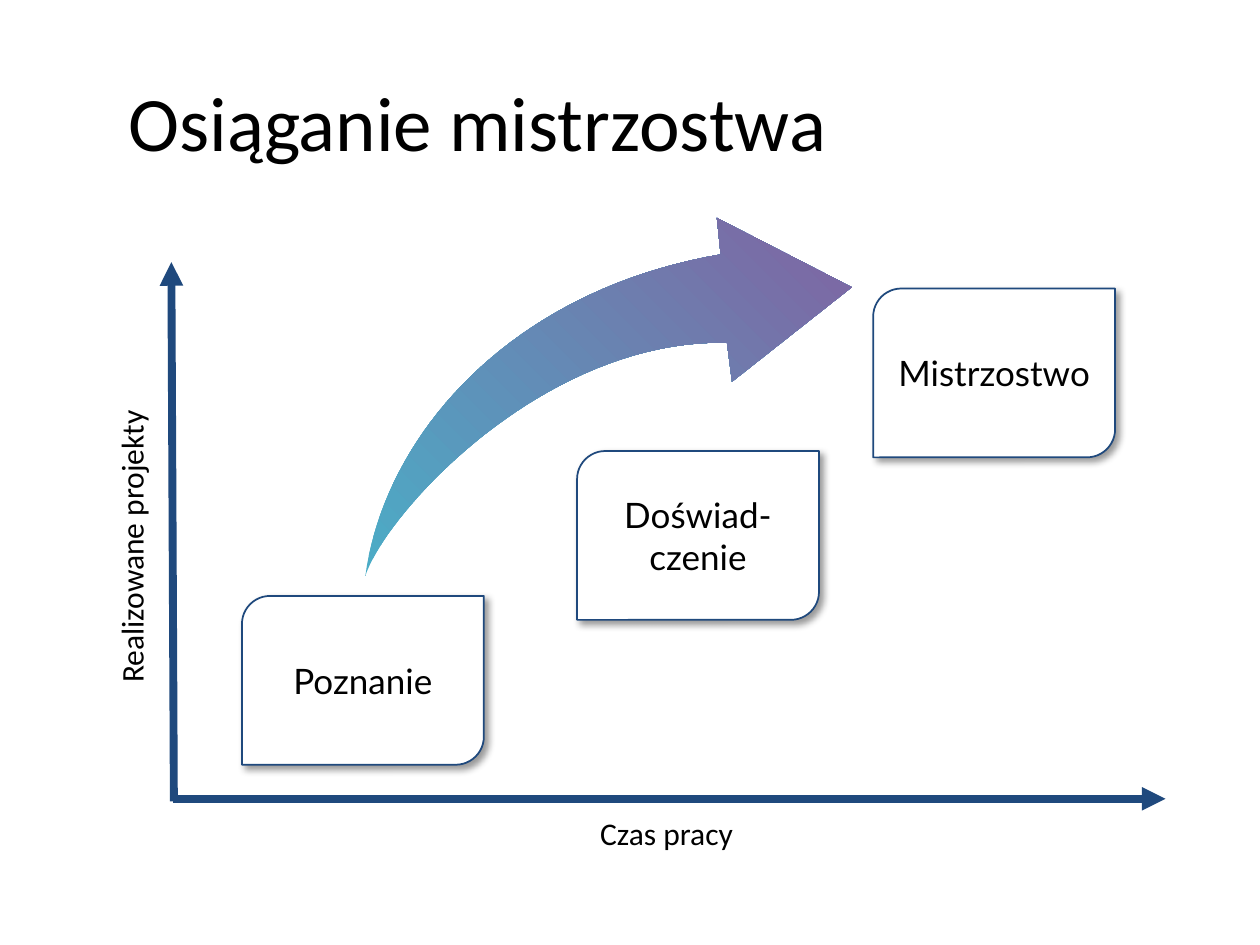
from lxml import etree
from pptx import Presentation
from pptx.dml.color import RGBColor
from pptx.enum.shapes import MSO_CONNECTOR, MSO_SHAPE
from pptx.enum.text import MSO_ANCHOR, PP_ALIGN
from pptx.oxml import parse_xml
from pptx.oxml.ns import nsdecls, qn
from pptx.util import Inches, Pt

CENTER, LEFT = PP_ALIGN.CENTER, PP_ALIGN.LEFT
MIDDLE, TOP = MSO_ANCHOR.MIDDLE, MSO_ANCHOR.TOP
STRAIGHT = MSO_CONNECTOR.STRAIGHT
CARD = MSO_SHAPE.ROUND_2_DIAG_RECTANGLE

COLORS = {
    "text": "000000",
    "navy": "1F497D",
    "card": "FFFFFF",
    "teal": "4BACC6",
    "purple": "8064A2",
}
RGB = {name: RGBColor.from_string(value) for name, value in COLORS.items()}


def write(sp, text, size, font="Calibri", align=CENTER, anchor=TOP):
    tf = sp.text_frame
    tf.word_wrap = True
    tf.vertical_anchor = anchor
    p = tf.paragraphs[0]
    p.alignment = align
    r = p.add_run()
    r.text = text
    for name, value in {"name": font, "size": Pt(size)}.items():
        setattr(r.font, name, value)
    r.font.color.rgb = RGB["text"]


def curve(p0, p1, p2, p3, steps=40):
    """Points along a cubic Bezier curve, without its first point."""
    points = []
    for i in range(1, steps + 1):
        t = i / steps
        weights = (1 - t) ** 3, 3 * t * (1 - t) ** 2, 3 * t * t * (1 - t), t ** 3
        points.append(tuple(sum(w * p[axis] for w, p in zip(weights, (p0, p1, p2, p3)))
                            for axis in (0, 1)))
    return points


prs = Presentation()
prs.slide_width, prs.slide_height = Inches(10), Inches(7.5)
s = prs.slides.add_slide(prs.slide_layouts[5])

# Title
title = s.shapes.title
for name, value in {"left": 0.92, "top": 0.33, "width": 8.83, "height": 1.25}.items():
    setattr(title, name, Inches(value))
write(title, "Osiąganie mistrzostwa", 44, align=LEFT, anchor=MIDDLE)

# Axes
for ends in ((1.37, 6.34, 9.25, 6.34), (1.38, 6.36, 1.36, 2.08)):
    axis = s.shapes.add_connector(STRAIGHT, *map(Inches, ends))
    axis.line.color.rgb = RGB["navy"]
    axis.line.width = Pt(4.5)
    etree.SubElement(axis.line._get_or_add_ln(), qn("a:tailEnd"), type="triangle")
    etree.SubElement(axis._element.spPr, qn("a:effectLst"))

# Axis labels
for text, box, rotation in (
    ("Czas pracy", (1.58, 6.41, 7.42, 0.4), 0),
    ("Realizowane projekty ", (-0.99, 4.11, 4.06, 0.4), 270),
):
    label = s.shapes.add_textbox(*map(Inches, box))
    label.rotation = rotation
    write(label, text, 18)

# Stages
for text, left, top in (
    ("Poznanie", 1.92, 4.73),
    ("Doświad- czenie", 4.58, 3.58),
    ("Mistrzostwo", 6.93, 2.29),
):
    sp = s.shapes.add_shape(CARD, *map(Inches, (left, top, 1.92, 1.34)))
    sp.fill.solid()
    sp.fill.fore_color.rgb = RGB["card"]
    sp.line.color.rgb = RGB["navy"]
    sp.line.width = Pt(1)
    sp._element.spPr.append(parse_xml(
        f'<a:effectLst {nsdecls("a")}>'
        f'<a:outerShdw blurRad="{Pt(4)}" dist="{Pt(3)}" dir="2700000" algn="tl" rotWithShape="0">'
        f'<a:srgbClr val="{COLORS["text"]}"><a:alpha val="40000"/></a:srgbClr>'
        '</a:outerShdw></a:effectLst>'))
    for side in ("left", "top", "right", "bottom"):
        setattr(sp.text_frame, f"margin_{side}", Inches(0.05))
    write(sp, text, 20, font="Lato", anchor=MIDDLE)

# Rising arrow
start = (2.9, 4.57)
outline = curve(start, (3.05, 3.47), (4.03, 2.31), (5.72, 2.02))
outline += [(5.69, 1.73), (6.76, 2.28), (5.81, 3.03), (5.77, 2.72)]
outline += curve(outline[-1], (4.32, 2.69), (3.07, 4.06), start)
builder = s.shapes.build_freeform(*map(Inches, start))
builder.add_line_segments([(Inches(x), Inches(y)) for x, y in outline], close=True)
arrow = builder.convert_to_shape()
arrow.shadow.inherit = False
arrow.line.fill.background()
arrow.fill.gradient()
arrow.fill.gradient_angle = 45
for stop, position, name in zip(arrow.fill.gradient_stops, (0, 1), ("teal", "purple")):
    stop.position = position
    stop.color.rgb = RGB[name]

prs.save("out.pptx")
